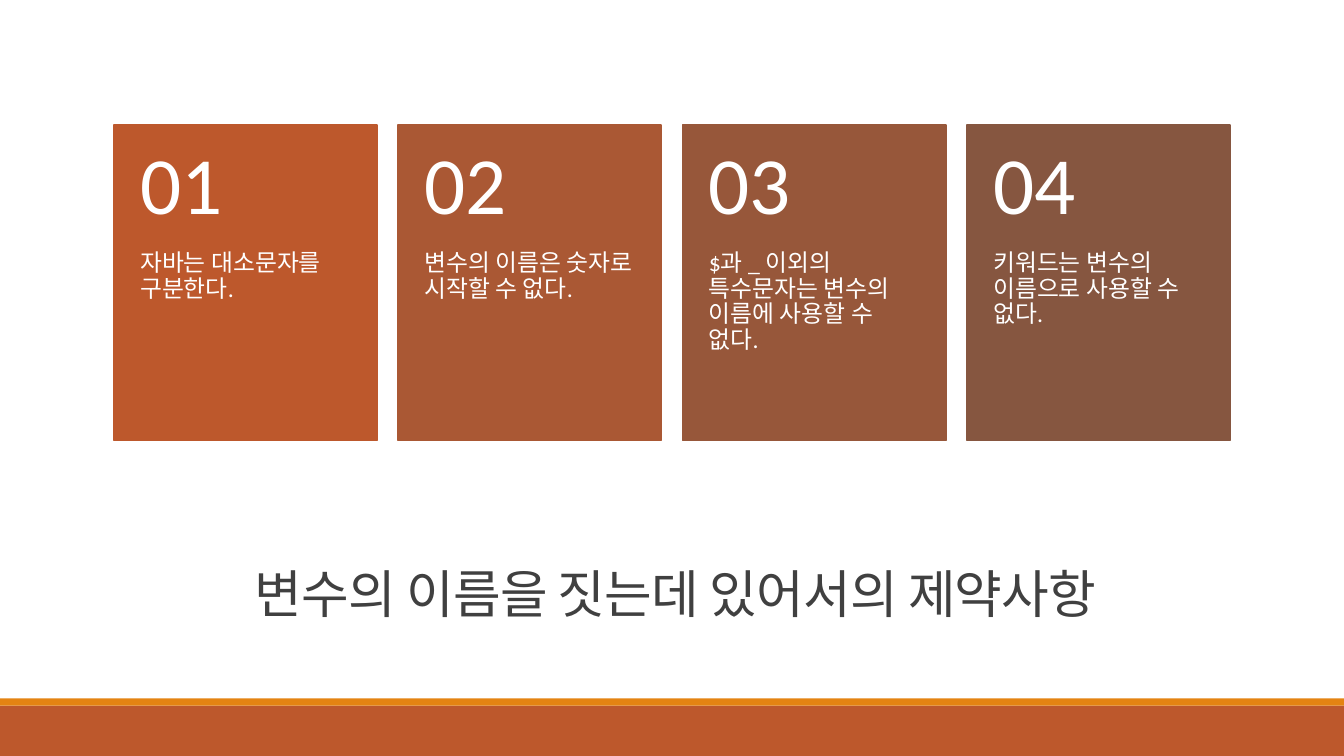
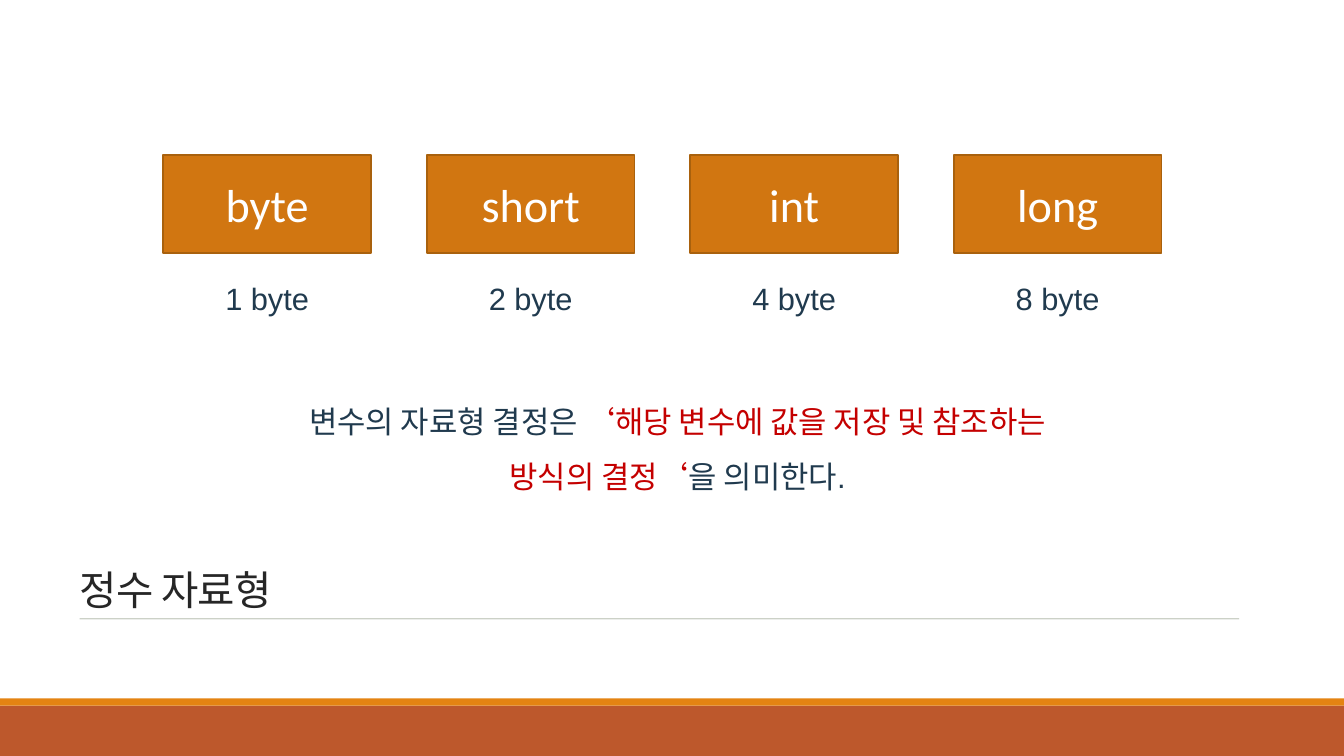
from dataclasses import dataclass

from lxml.etree import SubElement
from pptx import Presentation
from pptx.dml.color import RGBColor as Color
from pptx.enum.shapes import MSO_CONNECTOR as Connector, MSO_SHAPE as Preset
from pptx.enum.text import MSO_ANCHOR as Anchor, PP_ALIGN as Align
from pptx.oxml.ns import qn
from pptx.util import Inches, Pt


@dataclass(frozen=True)
class Theme:
    heading_font: str = "Calibri"
    body_font: str = "Arial"
    rust: str = "BD582C"
    amber: str = "E48312"
    white: str = "FFFFFF"
    title: str = "404040"
    caption: str = "262626"
    rule: str = "637052"
    type_fill: str = "D17611"
    type_line: str = "A9610D"
    body: str = "203A4E"
    accent: str = "C40000"
    cards: tuple = ("BD582C", "AA5834", "97573A", "865640")
    title_size: int = 37
    caption_size: int = 29
    number_size: int = 58
    card_size: int = 17
    type_size: int = 33
    body_size: int = 22


theme = Theme()


def add_rectangle(slide, box, fill, line=None):
    shape = slide.shapes.add_shape(Preset.RECTANGLE, *map(Inches, box))
    shape.shadow.inherit = False
    shape.fill.solid()
    shape.fill.fore_color.rgb = Color.from_string(fill)
    if line:
        shape.line.color.rgb = Color.from_string(line)
        shape.line.width = Pt(1.25)
    else:
        shape.line.fill.background()
    return shape


def write(shape, parts, font, size, align=Align.LEFT, anchor=Anchor.TOP,
          spacing=1.0, insets=(0.1, 0.05, 0.1, 0.05), tracking=None):
    frame = shape.text_frame
    frame.word_wrap = True
    frame.vertical_anchor = anchor
    frame.margin_left, frame.margin_top, frame.margin_right, frame.margin_bottom = map(Inches, insets)
    paragraph = frame.paragraphs[0]
    paragraph.alignment = align
    paragraph.line_spacing = spacing
    for text, color in parts:
        run = paragraph.add_run()
        run.text = text
        run.font.name = font
        run.font.size = Pt(size)
        run.font.color.rgb = Color.from_string(color)
        if tracking:
            run.font._element.set("spc", str(round(tracking * 100)))


presentation = Presentation()
presentation.slide_width = Inches(13.33)
presentation.slide_height = Inches(7.5)
blank = presentation.slide_layouts[6]
slides = [presentation.slides.add_slide(blank) for _ in range(2)]
for slide in slides:
    add_rectangle(slide, (0, 7, 13.33, 0.5), theme.rust)
    add_rectangle(slide, (0, 6.93, 13.33, 0.07), theme.amber)

naming_slide, integer_slide = slides

title = naming_slide.shapes.add_textbox(*map(Inches, (1.2, 5.3, 11, 1.3)))
write(title, [("변수의 이름을 짓는데 있어서의 제약사항", theme.title)], theme.heading_font,
      theme.title_size, Align.CENTER, Anchor.MIDDLE, 0.75, tracking=-0.5)

naming_rules = (
    "자바는 대소문자를 구분한다.",
    "변수의 이름은 숫자로 시작할 수 없다.",
    "$과 _ 이외의 특수문자는 변수의 이름에 사용할 수 없다.",
    "키워드는 변수의 이름으로 사용할 수 없다.",
)
card_width, card_pitch = 2.61, 2.82
for index, (rule_text, color) in enumerate(zip(naming_rules, theme.cards)):
    left = 1.13 + index * card_pitch
    add_rectangle(naming_slide, (left, 1.24, card_width, 3.13), color, color)
    description = naming_slide.shapes.add_textbox(*map(Inches, (left, 2.49, card_width, 1.88)))
    write(description, [(rule_text, theme.white)], theme.heading_font, theme.card_size,
          spacing=0.9, insets=(0.26, 0, 0.26, 0.36))
    number = naming_slide.shapes.add_textbox(*map(Inches, (left, 1.24, card_width, 1.25)))
    write(number, [(f"{index + 1:02}", theme.white)], theme.heading_font, theme.number_size,
          anchor=Anchor.MIDDLE, spacing=0.9, insets=(0.26, 0.18, 0.26, 0.18))

rule = integer_slide.shapes.add_connector(
    Connector.STRAIGHT, *map(Inches, (0.79, 6.14, 12.29, 6.14)))
rule.line.color.rgb = Color.from_string(theme.rule)
rule.line.width = Pt(0.5)
rule_color = next(rule._element.spPr.iter(qn("a:srgbClr")))
SubElement(rule_color, qn("a:alpha")).set("val", "90000")
SubElement(rule._element.spPr, qn("a:effectLst"))

caption = integer_slide.shapes.add_textbox(*map(Inches, (0.69, 4.98, 11.93, 1.16)))
write(caption, [("정수 자료형", theme.caption)], theme.heading_font, theme.caption_size,
      anchor=Anchor.BOTTOM, spacing=0.85, tracking=-0.5)

integer_types = (("byte", 1), ("short", 2), ("int", 4), ("long", 8))
type_width, first_left, last_left = 2.06, 1.62, 9.46
type_pitch = (last_left - first_left) / (len(integer_types) - 1)
for index, (name, size) in enumerate(integer_types):
    left = first_left + index * type_pitch
    type_box = add_rectangle(integer_slide, (left, 1.54, type_width, 0.97),
                             theme.type_fill, theme.type_line)
    write(type_box, [(name, theme.white)], theme.heading_font, theme.type_size,
          Align.CENTER, Anchor.MIDDLE)
    size_label = integer_slide.shapes.add_textbox(*map(Inches, (left, 2.54, type_width, 0.66)))
    write(size_label, [(f"{size} byte", theme.body)], theme.body_font, theme.body_size,
          Align.CENTER, spacing=1.5)

explanation = integer_slide.shapes.add_textbox(*map(Inches, (2.76, 3.76, 7.92, 1.21)))
write(explanation, [
    ("변수의 자료형 결정은 ", theme.body),
    ("‘해당 변수에 값을 저장 및 참조하는 방식의 결정‘", theme.accent),
    ("을 의미한다.", theme.body),
], theme.body_font, theme.body_size, Align.CENTER, spacing=1.5)

presentation.save("out.pptx")
